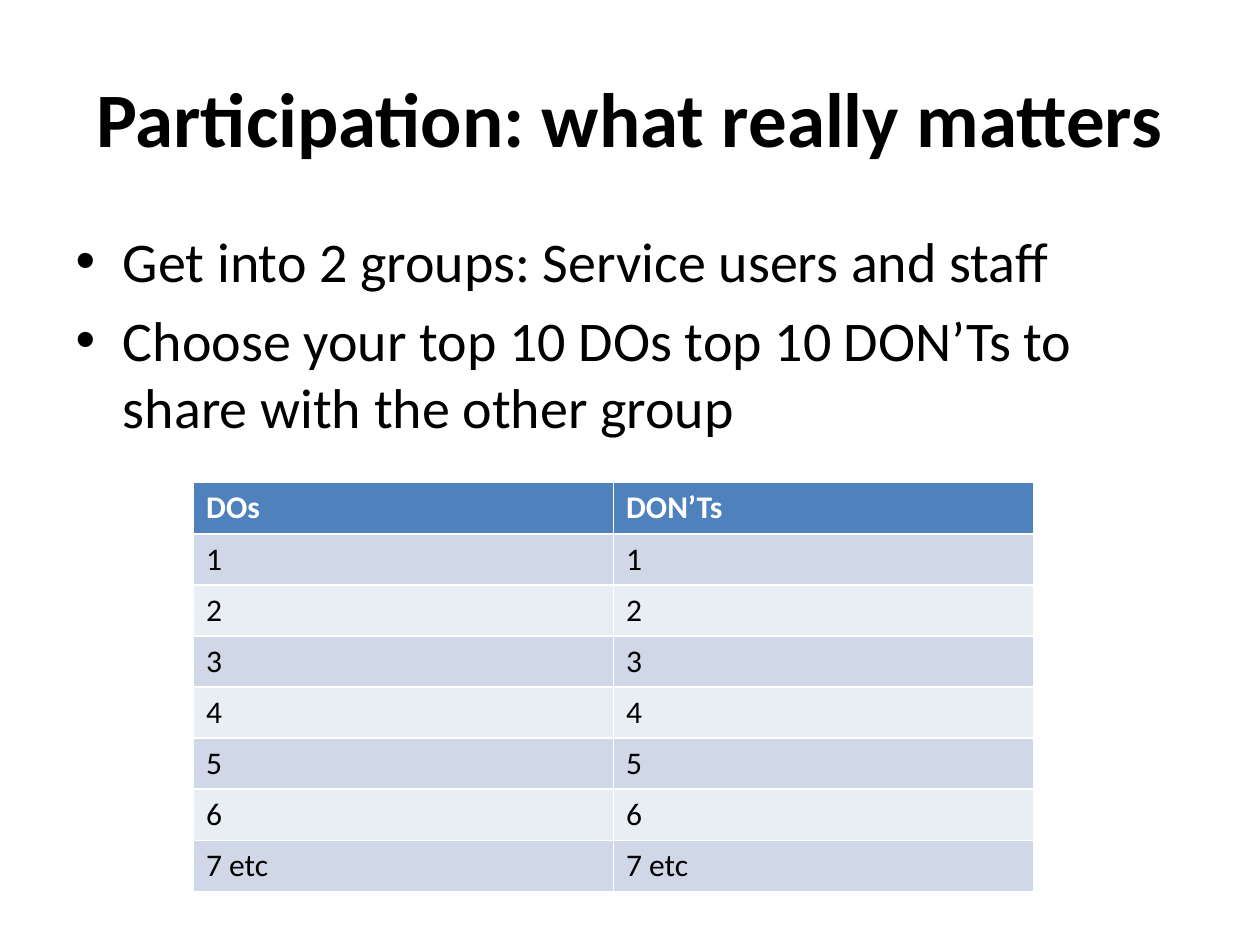
import pptx
import pptx.dml.color
import pptx.enum.text
import pptx.util

Pt = pptx.util.Pt
FONT = "Calibri"
COLORS = {
    "text": "000000",
    "header": "4F81BD",
    "header_text": "FFFFFF",
    "odd_row": "D0D8E8",
    "even_row": "E9EDF4",
}
TASKS = [
    "Get into 2 groups: Service users and staff",
    "Choose your top 10 DOs top 10 DON’Ts to share with the other group",
]
HEADERS = ["DOs", "DON’Ts"]
ENTRIES = ["1", "2", "3", "4", "5", "6", "7 etc"]


def color(name):
    return pptx.dml.color.RGBColor.from_string(COLORS[name])


def set_font(para, size, color_name="text", bold=False):
    para.font.name = FONT
    para.font.size = Pt(size)
    para.font.bold = bold
    para.font.color.rgb = color(color_name)


def place(shape, box):
    shape.left, shape.top, shape.width, shape.height = map(Pt, box)


def fill_title(shape, box, text):
    place(shape, box)
    shape.text_frame.text = text
    shape.text_frame.vertical_anchor = pptx.enum.text.MSO_ANCHOR.MIDDLE
    para = shape.text_frame.paragraphs[0]
    para.alignment = pptx.enum.text.PP_ALIGN.CENTER
    set_font(para, 44, bold=True)


def fill_tasks(shape, box, tasks):
    """Fill the body placeholder, keeping the template's bullets."""
    place(shape, box)
    shape.text_frame.text = "\n".join(tasks)
    for para in shape.text_frame.paragraphs:
        set_font(para, 32)


def add_checklist(page, box, headers, entries):
    """Add a table that repeats each entry under every header."""
    rows = [headers] + [[entry] * len(headers) for entry in entries]
    left, top, width, height = map(Pt, box)
    table = page.shapes.add_table(
        len(rows), len(headers), left, top, width, height
    ).table
    for index, texts in enumerate(rows):
        is_header = index == 0
        fill = "header" if is_header else "odd_row" if index % 2 else "even_row"
        for column, text in enumerate(texts):
            cell = table.cell(index, column)
            cell.text = text
            cell.fill.solid()
            cell.fill.fore_color.rgb = color(fill)
            set_font(
                cell.text_frame.paragraphs[0],
                18,
                "header_text" if is_header else "text",
                is_header,
            )


def main():
    deck = pptx.Presentation()
    deck.slide_width, deck.slide_height = Pt(720), Pt(540)
    page = deck.slides.add_slide(deck.slide_layouts[1])
    fill_title(
        page.shapes.title, (36, 21.6, 648, 90), "Participation: what really matters"
    )
    fill_tasks(page.placeholders[1], (36, 126, 648, 356.4), TASKS)
    add_checklist(page, (110.6, 275.8, 480, 233.6), HEADERS, ENTRIES)
    deck.save("out.pptx")


if __name__ == "__main__":
    main()
